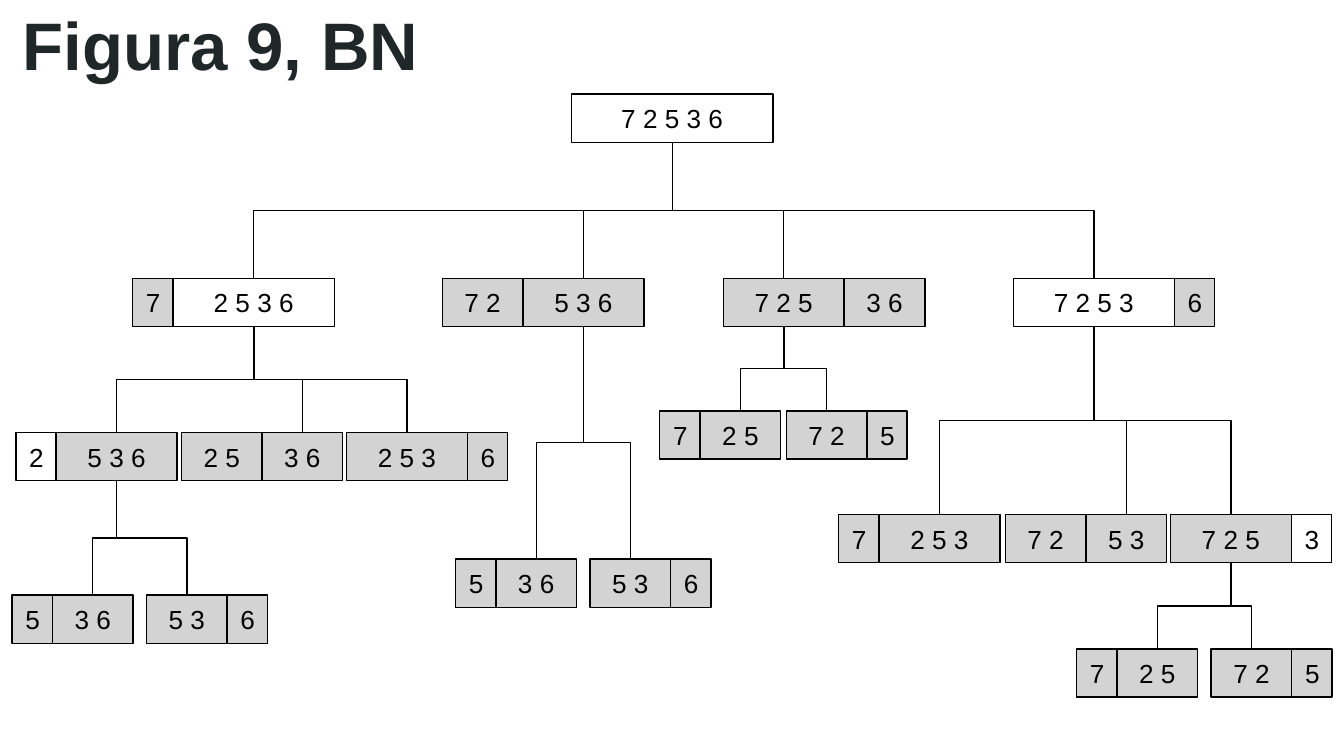
"""Draw a tree of split digit sequences on one slide."""
from pptx import Presentation
from pptx.dml.color import RGBColor
from pptx.enum.shapes import MSO_CONNECTOR, MSO_SHAPE
from pptx.enum.text import MSO_ANCHOR, PP_ALIGN
from pptx.oxml.ns import qn
from pptx.util import Cm, Pt
from lxml import etree

RECT = MSO_SHAPE.RECTANGLE
ELBOW = MSO_CONNECTOR.ELBOW
MIDDLE = MSO_ANCHOR.MIDDLE
CENTER = PP_ALIGN.CENTER
LEFT = PP_ALIGN.LEFT

BLACK = RGBColor(0x00, 0x00, 0x00)
WHITE = RGBColor(0xFF, 0xFF, 0xFF)
GRAY = RGBColor(0xD3, 0xD3, 0xD3)
INK = RGBColor(0x20, 0x27, 0x29)

FONT = "Arial"
UNIT = 0.762
HIGH = 0.91
INSET = Cm(0.25)
LINE = Pt(0.75)
OPEN = {"7 2 5 3 6", "2 5 3 6", "7 2 5 3", "2", "3"}

TREE = (10.8, 1.78, ["7 2 5 3 6"], [
    (2.51, 5.26, ["7", "2 5 3 6"], [
        (0.3, 8.18, ["2", "5 3 6"], [
            (0.23, 11.25, ["5", "3 6"], []),
            (2.77, 11.25, ["5 3", "6"], []),
        ]),
        (3.43, 8.18, ["2 5", "3 6"], []),
        (6.55, 8.18, ["2 5 3", "6"], []),
    ]),
    (8.36, 5.26, ["7 2", "5 3 6"], [
        (8.61, 10.57, ["5", "3 6"], []),
        (11.15, 10.57, ["5 3", "6"], []),
    ]),
    (13.67, 5.26, ["7 2 5", "3 6"], [
        (12.47, 7.77, ["7", "2 5"], []),
        (14.86, 7.77, ["7 2", "5"], []),
    ]),
    (19.15, 5.26, ["7 2 5 3", "6"], [
        (15.85, 9.73, ["7", "2 5 3"], []),
        (19, 9.73, ["7 2", "5 3"], []),
        (22.12, 9.73, ["7 2 5", "3"], [
            (20.35, 12.27, ["7", "2 5"], []),
            (22.89, 12.27, ["7 2", "5"], []),
        ]),
    ]),
])


def write(shape, text, size, color, align, bold=False):
    """Put one styled line of text in a shape."""
    frame = shape.text_frame
    frame.text = text
    frame.word_wrap = True
    frame.vertical_anchor = MIDDLE
    frame.margin_left = frame.margin_right = INSET
    frame.margin_top = frame.margin_bottom = INSET
    line = frame.paragraphs[0]
    line.alignment = align
    font = line.runs[0].font
    font.name = FONT
    font.size = Pt(size)
    font.bold = bold
    font.color.rgb = color


def add_title(slide, text):
    """Add the slide heading."""
    box = slide.shapes.add_textbox(Cm(0.18), Cm(0.03), Cm(23.67), Cm(1.6))
    write(box, text, 36, INK, LEFT, True)


def add_cell(slide, left, top, text):
    """Add one box as wide as its count of digits."""
    wide = UNIT * len(text.split())
    cell = slide.shapes.add_shape(RECT, Cm(left), Cm(top), Cm(wide), Cm(HIGH))
    cell.shadow.inherit = False
    cell.fill.solid()
    cell.fill.fore_color.rgb = WHITE if text in OPEN else GRAY
    cell.line.color.rgb = BLACK
    cell.line.width = LINE
    write(cell, text, 14, BLACK, CENTER)
    return cell


def add_link(slide, upper, lower):
    """Join two cells with an elbow that leaves and arrives vertically."""
    start = upper.left + upper.width // 2
    end = lower.left + lower.width // 2
    base = upper.top + upper.height
    drop, shift = lower.top - base, abs(end - start)
    link = slide.shapes.add_connector(ELBOW, start, base, end, lower.top)
    link.begin_connect(upper, 2)
    link.end_connect(lower, 0)
    link.left = (start + end - drop) // 2
    link.top = (base + lower.top - shift) // 2
    link.width, link.height = drop, shift
    right = end > start
    props = link._element.spPr
    frame = props.find(qn("a:xfrm"))
    frame.set("rot", str((270 if right else 90) * 60000))
    frame.set("flipH", "1" if right else "0")
    frame.set("flipV", "0")
    link.line.color.rgb = BLACK
    link.line.width = LINE
    etree.SubElement(props, qn("a:effectLst"))


def add_node(slide, node):
    """Add a node and its branches, and return its widest, last cell."""
    left, top, texts, kids = node
    cells = []
    for text in texts:
        cells.append(add_cell(slide, left, top, text))
        left += UNIT * len(text.split())
    hub = max(reversed(cells), key=lambda cell: cell.width)
    for kid in kids:
        add_link(slide, hub, add_node(slide, kid))
    return hub


def main():
    """Build and save the slide."""
    deck = Presentation()
    deck.slide_width, deck.slide_height = Cm(25.4), Cm(14.29)
    slide = deck.slides.add_slide(deck.slide_layouts[6])
    add_node(slide, TREE)
    add_title(slide, "Figura 9, BN")
    deck.save("out.pptx")


if __name__ == "__main__":
    main()
